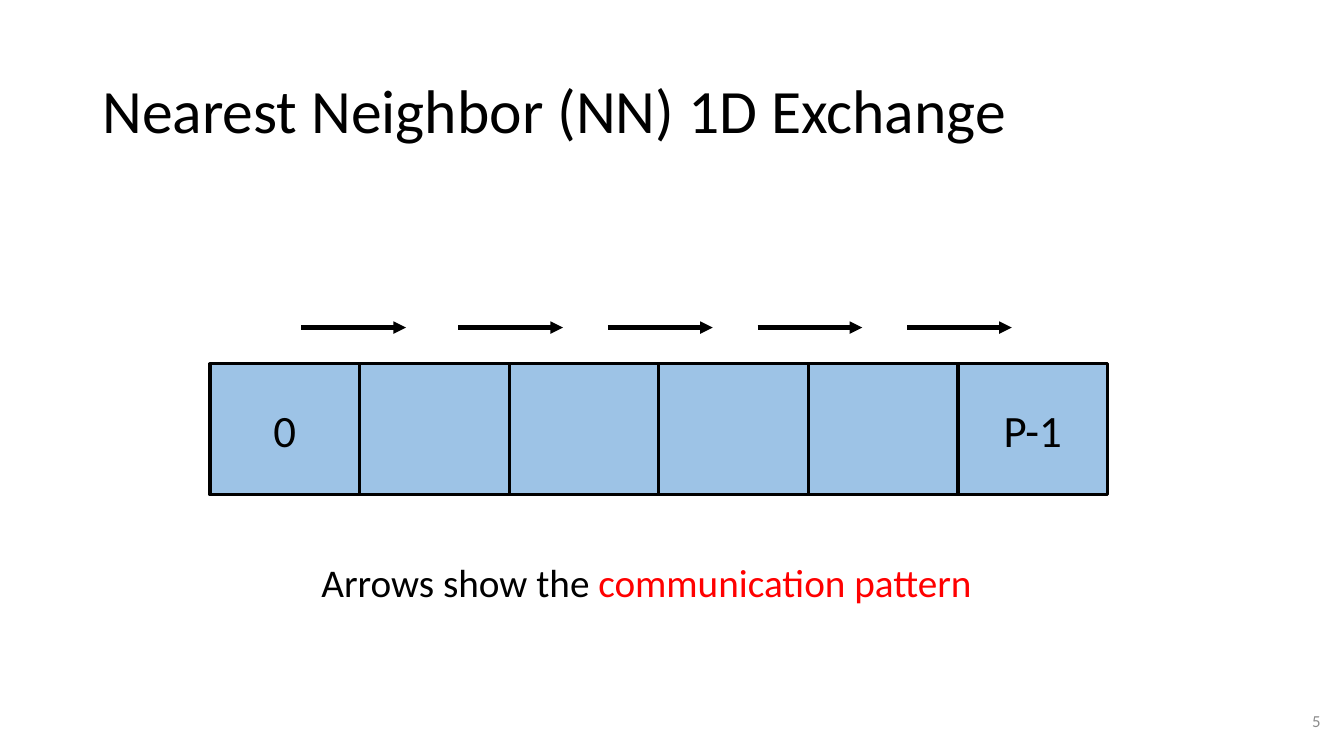
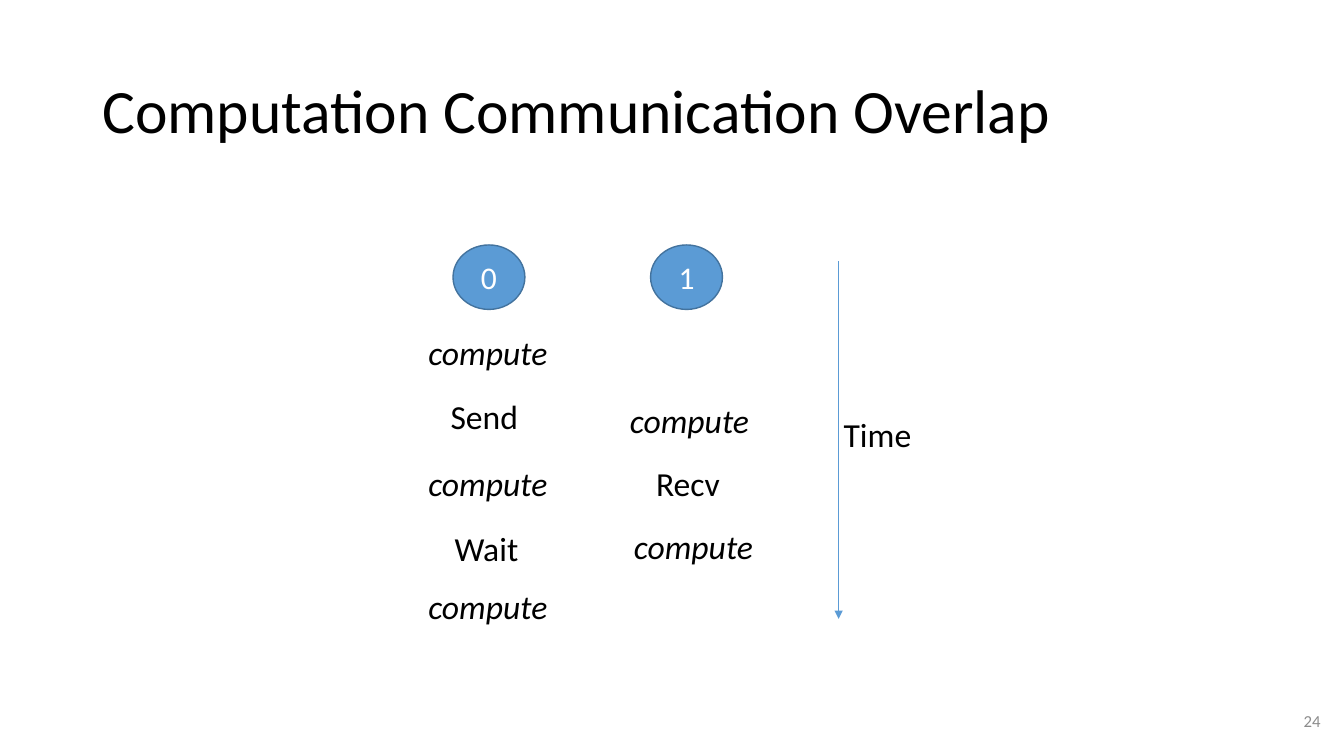
from dataclasses import dataclass
from typing import Any

from lxml import etree
from pptx import Presentation, util as u
from pptx.dml.color import RGBColor
from pptx.enum import shapes, text
from pptx.oxml.ns import qn

W, H = 13.33, 7.5
FONT = "Calibri"
COLORS = {"black": "000000", "white": "FFFFFF", "red": "FF0000", "gray": "8C8C8C",
          "cell": "9DC3E6", "blue": "5B9BD5", "edge": "43739E"}
LEFT, CENTER, RIGHT = text.PP_ALIGN.LEFT, text.PP_ALIGN.CENTER, text.PP_ALIGN.RIGHT
MIDDLE = text.MSO_ANCHOR.MIDDLE
# Frame formats: fixed boxes wrap, labels grow with their text
FIXED = {"word_wrap": True, "vertical_anchor": MIDDLE}
GROW = {"word_wrap": False, "auto_size": text.MSO_AUTO_SIZE.SHAPE_TO_FIT_TEXT}


@dataclass(frozen=True)
class Box:
    """Place and size in percent of the slide's width and height."""
    x: float
    y: float
    w: float
    h: float

    def emu(self) -> list[int]:
        return [px(self.x), py(self.y), px(self.w), py(self.h)]


@dataclass(frozen=True)
class Run:
    words: str
    size: float
    color: str = "black"
    italic: bool = False


@dataclass(frozen=True)
class Label:
    """A word centred on a column of the timeline, in a given row."""
    words: str
    col: float
    row: float


TITLE_BOX = Box(6.88, 5.33, 86.27, 19.33)
NUMBER_BOX = Box(76.5, 92.67, 22.5, 5.33)

# Row of processes
CELLS = ["0", "", "", "", "", "P-1"]
CELL = Box(15.63, 48.13, 11.13, 17.33)
ARROW_STARTS = [0.61, 1.66, 2.66, 3.66, 4.66]  # in cells from the left edge
ARROW_CELLS = 0.7
ARROW_Y = 43.33
CAPTION_BOX = Box(23.18, 73.2, 51.69, 7.6)

# Timeline grid
COL_X, COL_STEP = 36.38, 15
ROW_Y, ROW_STEP = 43.2, 8.67
LABEL_H = 6.67
LABEL_W = {"compute": 10.5, "Send": 6.6, "Recv": 6.3, "Wait": 6.3, "Time": 6.6}
RANKS = [("0", 0), ("1", 0.98)]
LABELS = [
    Label("compute", 0, 0), Label("Send", -0.02, 0.98), Label("compute", 0, 2),
    Label("Wait", -0.01, 3), Label("compute", 0, 3.88),
    Label("compute", 1, 1.05), Label("Recv", 0.99, 2), Label("compute", 1.02, 2.97),
    Label("Time", 1.93, 1.26),
]


def px(share: float) -> int:
    return u.Inches(W * share / 100)


def py(share: float) -> int:
    return u.Inches(H * share / 100)


def rgb(name: str) -> RGBColor:
    return RGBColor.from_string(COLORS[name])


def apply(target: Any, values: dict[str, Any]) -> None:
    for name, value in values.items():
        setattr(target, name, value)


def write(sp: Any, runs: list[Run], frame: dict[str, Any], **para: Any) -> None:
    tf = sp.text_frame
    apply(tf, frame)
    p = tf.paragraphs[0]
    apply(p, para)
    for run in runs:
        r = p.add_run()
        r.text = run.words
        apply(r.font, {"name": FONT, "size": u.Pt(run.size), "italic": run.italic})
        r.font.color.rgb = rgb(run.color)


def add_text(s: Any, box: Box, runs: list[Run], frame: dict[str, Any], **para: Any) -> None:
    write(s.shapes.add_textbox(*box.emu()), runs, frame, **para)


def add_node(s: Any, kind: Any, box: Box, fill: str, line: str, width: float, run: Run) -> None:
    sp = s.shapes.add_shape(kind, *box.emu())
    sp.shadow.inherit = False
    sp.fill.solid()
    sp.fill.fore_color.rgb = rgb(fill)
    sp.line.color.rgb = rgb(line)
    sp.line.width = u.Pt(width)
    if run.words:
        write(sp, [run], FIXED, alignment=CENTER)


def add_arrow(s: Any, x1: float, y1: float, x2: float, y2: float,
              color: str, width: float) -> None:
    cn = s.shapes.add_connector(shapes.MSO_CONNECTOR.STRAIGHT,
                                px(x1), py(y1), px(x2), py(y2))
    cn.line.color.rgb = rgb(color)
    cn.line.width = u.Pt(width)
    sp_pr = cn.line._get_or_add_ln().getparent()
    etree.SubElement(sp_pr.find(qn("a:ln")), qn("a:tailEnd"), type="triangle")
    etree.SubElement(sp_pr, qn("a:effectLst"))


def add_slide(prs: Any, title: str, number: int) -> Any:
    """Blank slide with the shared title and slide number."""
    s = prs.slides.add_slide(prs.slide_layouts[6])
    add_text(s, TITLE_BOX, [Run(title, 44)], FIXED, alignment=LEFT, line_spacing=0.9)
    add_text(s, NUMBER_BOX, [Run(str(number), 12, "gray")], FIXED, alignment=RIGHT)
    return s


def exchange_slide(prs: Any) -> None:
    s = add_slide(prs, "Nearest Neighbor (NN) 1D Exchange", 5)
    for i, words in enumerate(CELLS):
        box = Box(CELL.x + i * CELL.w, CELL.y, CELL.w, CELL.h)
        add_node(s, shapes.MSO_SHAPE.RECTANGLE, box, "cell", "black", 2.25, Run(words, 32))
    for start in ARROW_STARTS:
        x = CELL.x + start * CELL.w
        add_arrow(s, x, ARROW_Y, x + ARROW_CELLS * CELL.w, ARROW_Y, "black", 3)
    add_text(s, CAPTION_BOX, [Run("Arrows show the ", 28),
                              Run("communication pattern", 28, "red")], GROW)


def overlap_slide(prs: Any) -> None:
    s = add_slide(prs, "Computation Communication Overlap", 24)
    # Process circles head the columns
    for words, col in RANKS:
        box = Box(COL_X + col * COL_STEP - 5.35 / 2, 32.4, 5.35, 8.53)
        add_node(s, shapes.MSO_SHAPE.OVAL, box, "blue", "edge", 1, Run(words, 22.5, "white"))
    # Steps of each process, and the name of the axis
    for label in LABELS:
        w = LABEL_W[label.words]
        box = Box(COL_X + label.col * COL_STEP - w / 2,
                  ROW_Y + label.row * ROW_STEP, w, LABEL_H)
        add_text(s, box, [Run(label.words, 24, italic=label.words == "compute")], GROW)
    # Time axis
    add_arrow(s, 62.4, 34.53, 62.4, 81.87, "blue", 0.5)


def main() -> None:
    prs = Presentation()
    prs.slide_width, prs.slide_height = u.Inches(W), u.Inches(H)
    exchange_slide(prs)
    overlap_slide(prs)
    prs.save("out.pptx")


if __name__ == "__main__":
    main()
